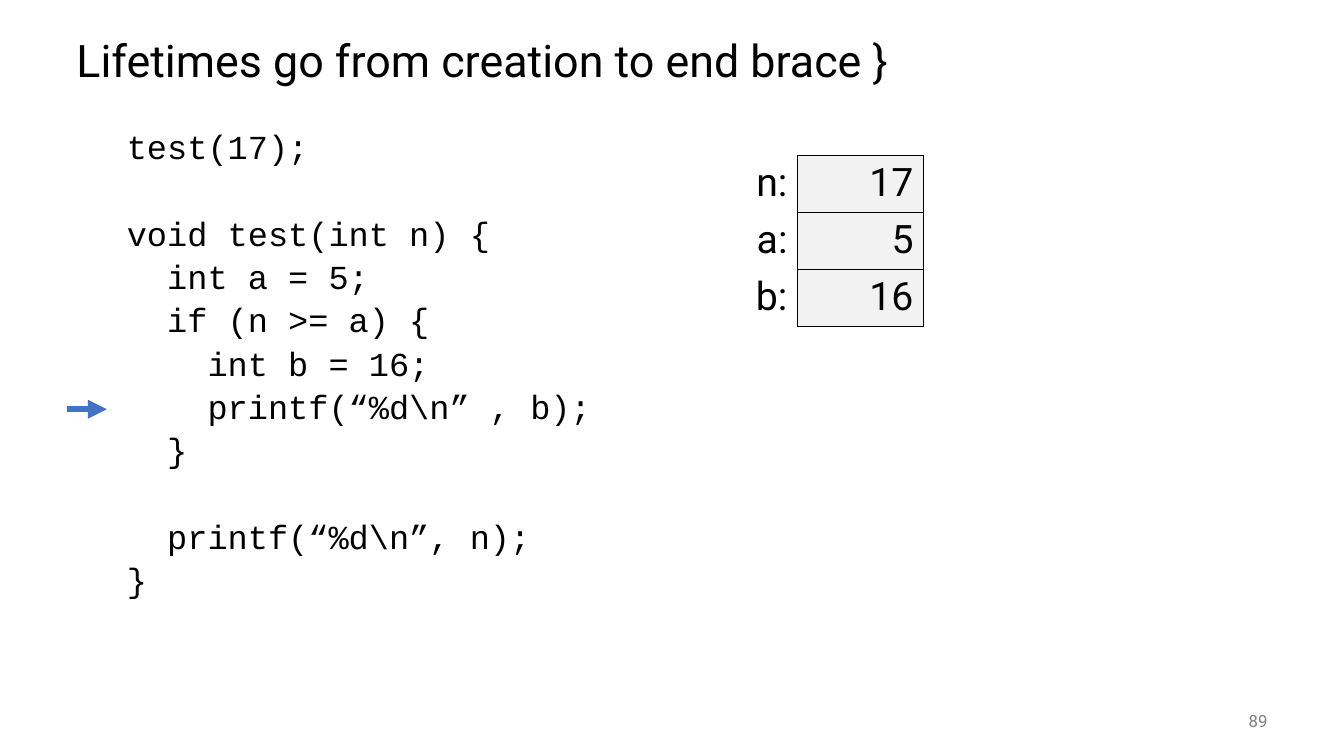
from pptx import Presentation
from pptx import util as u
from pptx.dml.color import RGBColor
from pptx.enum import shapes, text
from pptx.oxml import parse_xml
from pptx.oxml.ns import nsdecls

TITLE = "Lifetimes go from creation to end brace }"
CODE = r"""test(17);

void test(int n) {
  int a = 5;
  if (n >= a) {
    int b = 16;
    printf(“%d\n” , b);
  }

  printf(“%d\n”, n);
}""".split("\n")
VARS = [("n:", "17"), ("a:", "5"), ("b:", "16")]
PAGE = "89"

THEME = dict(sans="Roboto", mono="Courier New", ink="000000", grey="808080",
             cell="F2F2F2", blue="4472C4", title=32, code=24, table=28, page=12,
             gap=5, pitch=30.9)
LEFT, WIDE = 0.66, 12
ARROW_Y, ARROW_W = 4.06, 0.4
COL, ROW = 1.25, 0.55


def color(key):
    return RGBColor.from_string(THEME[key])


def write(para, words, size, face="sans", ink="ink", **form):
    run = para.add_run()
    run.text = words
    font = {"name": THEME[face], "size": u.Pt(THEME[size])}
    for item, vals in ((run.font, font), (para, form)):
        for key, val in vals.items():
            setattr(item, key, val)
    run.font.color.rgb = color(ink)


def frame(slide, left, top, wide, high, anchor):
    box = slide.shapes.add_textbox(*map(u.Inches, (left, top, wide, high)))
    body = box.text_frame
    body.word_wrap = True
    body.vertical_anchor = anchor
    return body


def border(cell):
    props = cell._tc.get_or_add_tcPr()
    for place, side in enumerate(("lnL", "lnR", "lnT", "lnB")):
        props.insert(place, parse_xml(
            f'<a:{side} {nsdecls("a")} w="12700"><a:solidFill>'
            f'<a:srgbClr val="{THEME["ink"]}"/></a:solidFill></a:{side}>'))


def add_code(slide):
    body = frame(slide, LEFT + 0.5, 1.25, WIDE - 0.5, 5.5, text.MSO_ANCHOR.TOP)
    skip = 0
    for row, line in enumerate(CODE):
        if not line:
            skip += THEME["pitch"]
            continue
        para = body.add_paragraph() if row else body.paragraphs[0]
        before = THEME["gap"] + skip if row else 0
        write(para, line, "code", "mono", line_spacing=0.9,
              space_before=u.Pt(before))
        skip = 0


def add_vars(slide):
    grid = slide.shapes.add_table(
        len(VARS), 2, u.Inches(6.66), u.Inches(1.54),
        u.Inches(2 * COL), u.Inches(len(VARS) * ROW)).table
    grid.first_row = grid.horz_banding = False
    for row, pair in enumerate(VARS):
        for col, words in enumerate(pair):
            cell = grid.cell(row, col)
            write(cell.text_frame.paragraphs[0], words, "table",
                  alignment=text.PP_ALIGN.RIGHT)
            if col:
                cell.fill.solid()
                cell.fill.fore_color.rgb = color("cell")
                border(cell)
            else:
                cell.fill.background()


def add_arrow(slide):
    ends = (LEFT, ARROW_Y, LEFT + ARROW_W, ARROW_Y)
    arrow = slide.shapes.add_connector(
        shapes.MSO_CONNECTOR.STRAIGHT, *map(u.Inches, ends))
    arrow.line.width = u.Pt(4.5)
    arrow.line.color.rgb = color("blue")
    arrow.line._get_or_add_ln().append(
        parse_xml(f'<a:tailEnd {nsdecls("a")} type="triangle"/>'))
    arrow._element.spPr.append(parse_xml(f'<a:effectLst {nsdecls("a")}/>'))


def main():
    deck = Presentation()
    deck.slide_width, deck.slide_height = u.Inches(13.33), u.Inches(7.5)
    slide = deck.slides.add_slide(deck.slide_layouts[6])
    mid = text.MSO_ANCHOR.MIDDLE
    head = frame(slide, LEFT, 0.25, WIDE, 0.75, mid)
    write(head.paragraphs[0], TITLE, "title", line_spacing=0.9)
    add_code(slide)
    foot = frame(slide, 11.67, 6.95, 1, 0.4, mid)
    write(foot.paragraphs[0], PAGE, "page", ink="grey",
          alignment=text.PP_ALIGN.RIGHT)
    add_vars(slide)
    add_arrow(slide)
    deck.save("out.pptx")


if __name__ == "__main__":
    main()
